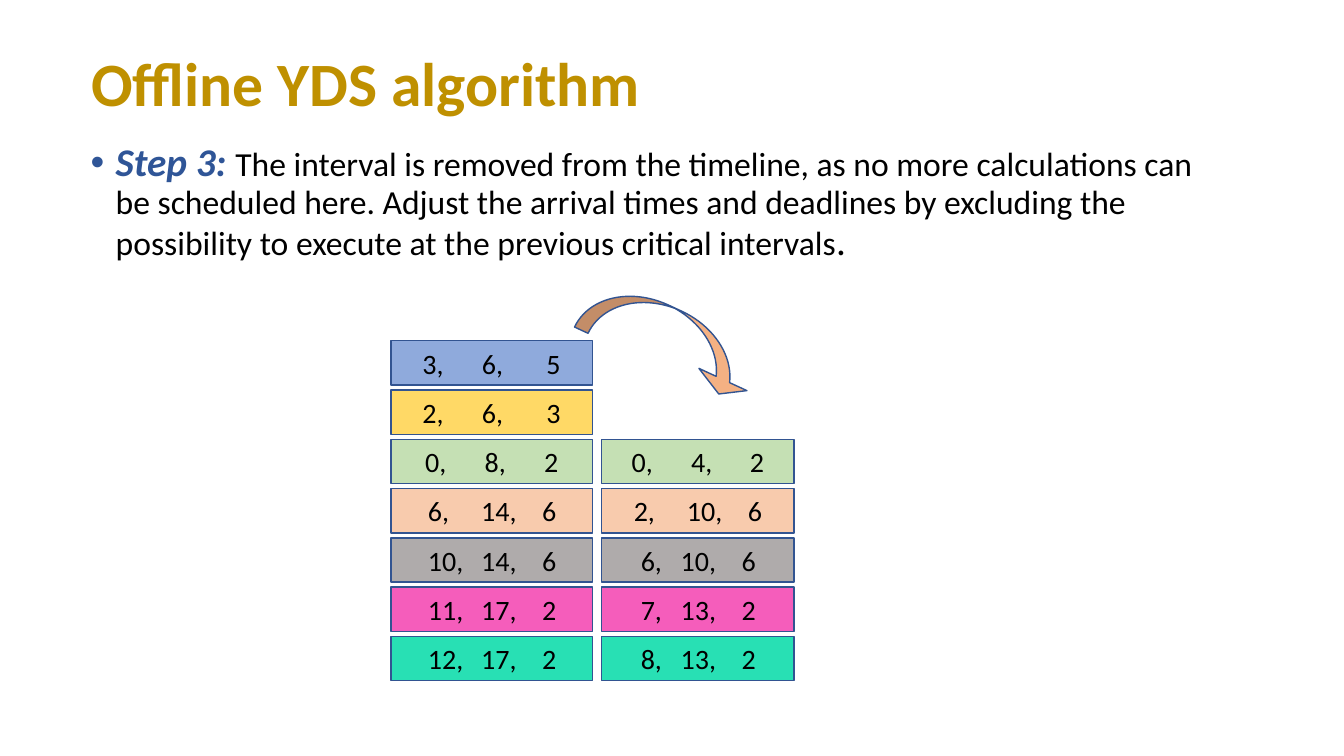
from lxml.etree import SubElement
from pptx import Presentation
from pptx.dml.color import RGBColor
from pptx.enum.shapes import MSO_SHAPE as Preset
from pptx.enum.text import MSO_ANCHOR as Anchor
from pptx.oxml.ns import qn
from pptx.util import Pt

FONT = "Calibri"
GOLD = RGBColor(0xBF, 0x90, 0x00)
NAVY = RGBColor(0x2F, 0x55, 0x97)
BLACK = RGBColor(0x00, 0x00, 0x00)
OUTLINE = RGBColor(0x32, 0x54, 0x91)
ORANGE = RGBColor(0xF4, 0xB1, 0x83)
BLUE = RGBColor(0x8F, 0xAA, 0xDC)
YELLOW = RGBColor(0xFF, 0xD9, 0x66)
GREEN = RGBColor(0xC5, 0xE0, 0xB4)
PEACH = RGBColor(0xF8, 0xCB, 0xAD)
GRAY = RGBColor(0xAF, 0xAB, 0xAB)
PINK = RGBColor(0xF5, 0x5D, 0xBB)
TEAL = RGBColor(0x28, 0xE0, 0xB4)

ROW_PITCH = 35.2
ROW_HEIGHT = 31.7
WIDE_STOPS = (22.5, 65, 111)
EVEN_STOPS = (24.5, 67, 109.5)
CLOSE_STOPS = (26.5, 64.5, 108)
JOBS_BEFORE = (
    ((3, 6, 5), BLUE, WIDE_STOPS),
    ((2, 6, 3), YELLOW, WIDE_STOPS),
    ((0, 8, 2), GREEN, EVEN_STOPS),
    ((6, 14, 6), PEACH, CLOSE_STOPS),
    ((10, 14, 6), GRAY, CLOSE_STOPS),
    ((11, 17, 2), PINK, CLOSE_STOPS),
    ((12, 17, 2), TEAL, CLOSE_STOPS),
)
SHIFTED_EVEN_STOPS = (21.5, 64, 106)
SHIFTED_STOPS = (23, 61, 104.5)
NARROW_STOPS = (28, 56.5, 100)
JOBS_AFTER = (
    ((0, 4, 2), GREEN, SHIFTED_EVEN_STOPS),
    ((2, 10, 6), PEACH, SHIFTED_STOPS),
    ((6, 10, 6), GRAY, NARROW_STOPS),
    ((7, 13, 2), PINK, NARROW_STOPS),
    ((8, 13, 2), TEAL, NARROW_STOPS),
)


def add_text(paragraph, text, size, color=BLACK, bold=False, italic=False):
    """Append a formatted run to the paragraph."""
    run = paragraph.add_run()
    run.text = text
    font = run.font
    font.name, font.size = FONT, Pt(size)
    font.bold, font.italic = bold, italic
    font.color.rgb = color


def add_text_box(slide, left, top, width, height, anchor):
    """Add a wrapping text box and return its first paragraph."""
    box = slide.shapes.add_textbox(Pt(left), Pt(top), Pt(width), Pt(height))
    frame = box.text_frame
    frame.word_wrap = True
    frame.vertical_anchor = anchor
    paragraph = frame.paragraphs[0]
    paragraph.line_spacing = 0.9
    return paragraph


def add_outlined(slide, preset, left, top, width, height, fill):
    """Add a filled preset shape with the common outline."""
    shape = slide.shapes.add_shape(preset, Pt(left), Pt(top), Pt(width), Pt(height))
    shape.shadow.inherit = False
    shape.fill.solid()
    shape.fill.fore_color.rgb = fill
    shape.line.color.rgb = OUTLINE
    shape.line.width = Pt(1)
    return shape


def add_title(slide, left, top, width, height):
    """Place the slide title."""
    paragraph = add_text_box(slide, left, top, width, height, Anchor.MIDDLE)
    add_text(paragraph, "Offline YDS algorithm", 44, GOLD, bold=True)


def add_step(slide, left, top, width, height):
    """Place the bulleted description of the step."""
    paragraph = add_text_box(slide, left, top, width, height, Anchor.TOP)
    properties = paragraph._p.get_or_add_pPr()
    properties.set("marL", str(Pt(18)))
    properties.set("indent", str(-Pt(18)))
    SubElement(properties, qn("a:buFont"), typeface="Arial")
    SubElement(properties, qn("a:buChar"), char="•")
    add_text(paragraph, "Step 3: ", 28, NAVY, bold=True, italic=True)
    add_text(paragraph, "The interval is removed from the timeline, as no more "
             "calculations can be scheduled here. Adjust the arrival times and "
             "deadlines by excluding the possibility to execute at the previous "
             "critical intervals", 24)
    add_text(paragraph, ".", 28)


def add_job(slide, left, top, width, values, fill, stops):
    """Place one job with its three values on tab stops."""
    shape = add_outlined(slide, Preset.RECTANGLE, left, top, width, ROW_HEIGHT, fill)
    frame = shape.text_frame
    frame.word_wrap = True
    frame.vertical_anchor = Anchor.MIDDLE
    frame.margin_left, frame.margin_right = Pt(stops[0]), Pt(0)
    paragraph = frame.paragraphs[0]
    properties = paragraph._p.get_or_add_pPr()
    properties.set("algn", "l")
    tabs = SubElement(properties, qn("a:tabLst"))
    for stop in stops[1:]:
        SubElement(tabs, qn("a:tab"), pos=str(Pt(stop - stops[0])), algn="l")
    add_text(paragraph, ",\t".join(map(str, values)), 20)


def add_job_stack(slide, left, top, width, jobs):
    """Stack the jobs downwards at equal steps."""
    for index, job in enumerate(jobs):
        add_job(slide, left, top + index * ROW_PITCH, width, *job)


def add_jobs(slide, left, top):
    """Place the jobs before and after the adjustment, and the arrow."""
    add_job_stack(slide, left, top, 144, JOBS_BEFORE)
    removed = len(JOBS_BEFORE) - len(JOBS_AFTER)
    add_job_stack(slide, left + 150.5, top + removed * ROW_PITCH, 137.5, JOBS_AFTER)
    arrow = add_outlined(slide, Preset.CURVED_DOWN_ARROW,
                         left + 134, top - 22.4, 132.5, 42.5, ORANGE)
    arrow.rotation = 24.9
    for index, value in enumerate((0.25, 0.89, 0.25)):
        arrow.adjustments[index] = value


def main():
    """Build and save the presentation."""
    presentation = Presentation()
    presentation.slide_width, presentation.slide_height = Pt(960), Pt(540)
    slide = presentation.slides.add_slide(presentation.slide_layouts[6])
    add_title(slide, 58, 9.4, 828, 104.4)
    add_step(slide, 57.6, 98.6, 828, 342.7)
    add_jobs(slide, 279.2, 243.4)
    presentation.save("out.pptx")


if __name__ == "__main__":
    main()
